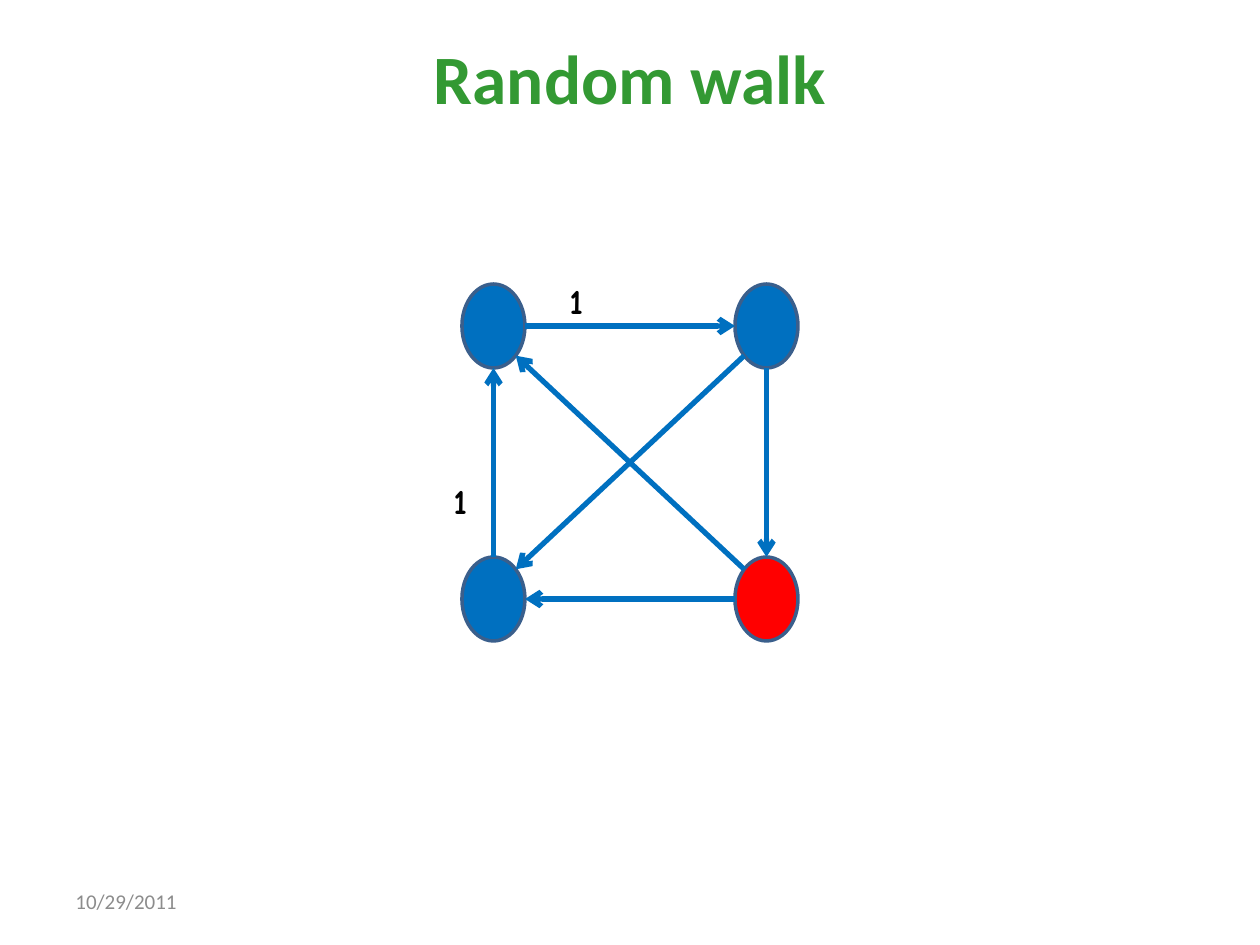
"""Build a slide that shows a random walk on a graph of four nodes."""
from math import hypot

from lxml import etree
from pptx import Presentation
from pptx.dml.color import RGBColor
from pptx.enum.shapes import MSO_CONNECTOR, MSO_SHAPE
from pptx.enum.text import MSO_ANCHOR, MSO_AUTO_SIZE, PP_ALIGN
from pptx.oxml.ns import qn
from pptx.util import Emu, Pt

STRAIGHT = MSO_CONNECTOR.STRAIGHT
OVAL = MSO_SHAPE.OVAL
TOP, MIDDLE = MSO_ANCHOR.TOP, MSO_ANCHOR.MIDDLE
LEFT, CENTER = PP_ALIGN.LEFT, PP_ALIGN.CENTER
NO_AUTOFIT = MSO_AUTO_SIZE.NONE

EMU_PER_PX = 914400 / 126
NODE_WIDTH, NODE_HEIGHT = 63, 84
BLUE, RED, OUTLINE = "0070C0", "FF0000", "3A5F8C"
GREEN, BLACK, GRAY = "339933", "000000", "8C8C8C"

NODES = {
    "top right": (735, 284, BLUE),
    "top left": (462, 284, BLUE),
    "bottom right": (735, 557, RED),
    "bottom left": (462, 557, BLUE),
}
EDGES = [
    ("top left", "top right"),
    ("top right", "bottom right"),
    ("bottom right", "bottom left"),
    ("bottom left", "top left"),
    ("top right", "bottom left"),
    ("bottom right", "top left"),
]
PROBABILITIES = [("1", 557, 273), ("1", 441, 473)]


def px(length):
    return Emu(round(length * EMU_PER_PX))


def color(value):
    return RGBColor.from_string(value)


def write(box, text, *, size, fill, font="Calibri", bold=False, align=LEFT, anchor=TOP):
    frame = box.text_frame
    frame.word_wrap = True
    frame.auto_size = NO_AUTOFIT
    frame.vertical_anchor = anchor
    para = frame.paragraphs[0]
    para.alignment = align
    span = para.add_run()
    span.text = text
    span.font.name = font
    span.font.size = Pt(size)
    span.font.bold = bold
    span.font.color.rgb = color(fill)


def rim_point(node, toward):
    center_x = node[0] + NODE_WIDTH / 2
    center_y = node[1] + NODE_HEIGHT / 2
    step_x = (toward[0] > node[0]) - (toward[0] < node[0])
    step_y = (toward[1] > node[1]) - (toward[1] < node[1])
    reach = hypot(step_x, step_y)
    return (
        px(center_x + NODE_WIDTH / 2 * step_x / reach),
        px(center_y + NODE_HEIGHT / 2 * step_y / reach),
    )


class GraphSlide:
    def __init__(self, deck):
        self.page = deck.slides.add_slide(deck.slide_layouts[5])
        self.shapes = self.page.shapes

    def title(self, text, left, top, width, height):
        box = self.shapes.title
        box.left, box.top, box.width, box.height = map(px, (left, top, width, height))
        write(box, text, size=39.6, fill=GREEN, bold=True, align=CENTER, anchor=MIDDLE)

    def node(self, left, top, fill):
        oval = self.shapes.add_shape(OVAL, *map(px, (left, top, NODE_WIDTH, NODE_HEIGHT)))
        oval.shadow.inherit = False
        oval.fill.solid()
        oval.fill.fore_color.rgb = color(fill)
        oval.line.color.rgb = color(OUTLINE)
        oval.line.width = Pt(2)

    def arrow(self, start, end):
        edge = self.shapes.add_connector(
            STRAIGHT, *rim_point(start, end), *rim_point(end, start)
        )
        edge.line.color.rgb = color(BLUE)
        edge.line.width = Pt(3)
        properties = edge.element.spPr
        etree.SubElement(properties.find(qn("a:ln")), qn("a:tailEnd"), type="arrow")
        etree.SubElement(properties, qn("a:effectLst"))

    def label(self, text, left, top, width, height, **style):
        box = self.shapes.add_textbox(*map(px, (left, top, width, height)))
        write(box, text, **style)


def main():
    deck = Presentation()
    deck.slide_width, deck.slide_height = px(1260), px(945)
    slide = GraphSlide(deck)
    slide.title("Random walk", 63, 38, 1134, 78)
    for left, top, fill in NODES.values():
        slide.node(left, top, fill)
    for start, end in EDGES:
        slide.arrow(NODES[start], NODES[end])
    for text, left, top in PROBABILITIES:
        slide.label(text, left, top, 53, 55, size=20, fill=BLACK, font="Comic Neue", bold=True)
    slide.label("10/29/2011", 63, 876, 294, 50, size=12, fill=GRAY, anchor=MIDDLE)
    deck.save("out.pptx")


if __name__ == "__main__":
    main()
